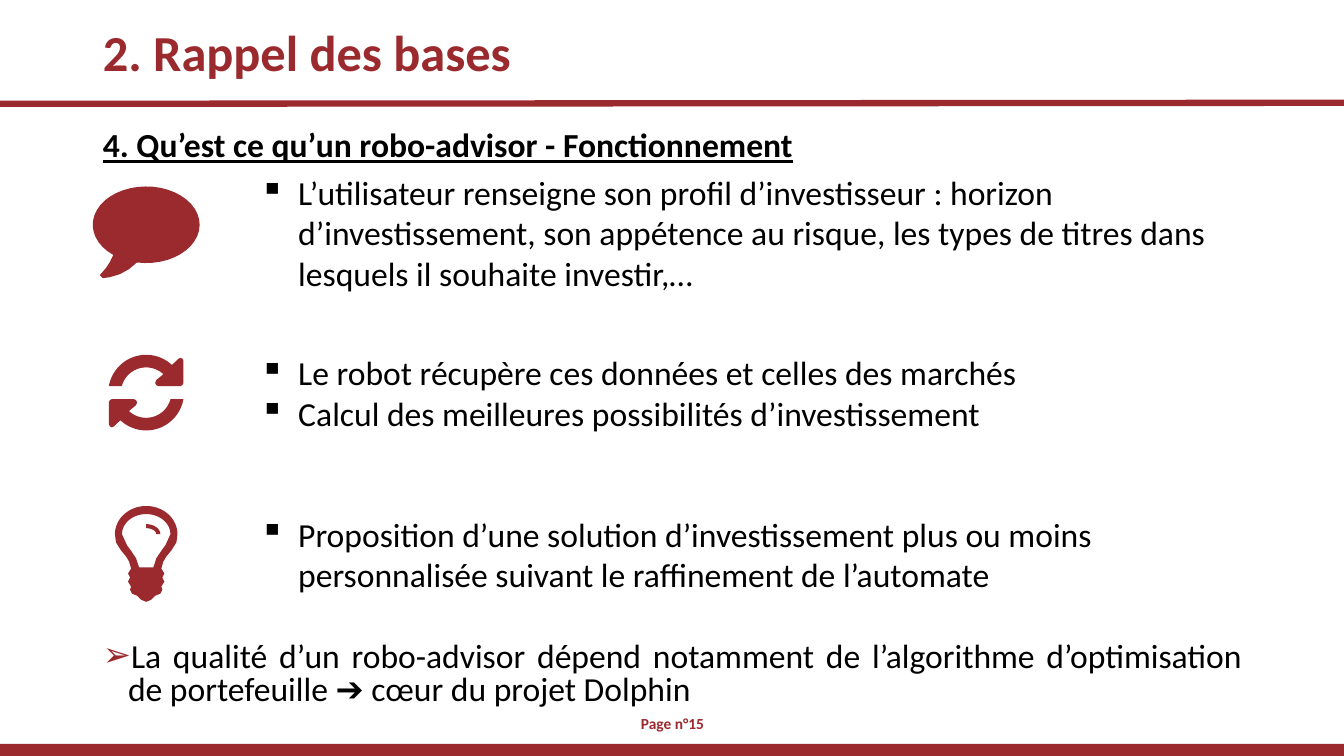
"""Build the slide on how a robo-advisor works."""
from dataclasses import dataclass
from math import cos, radians, sin

from lxml import etree
from pptx import Presentation
from pptx.dml.color import RGBColor
from pptx.enum.shapes import MSO_CONNECTOR, MSO_SHAPE
from pptx.enum.text import MSO_ANCHOR, MSO_AUTO_SIZE, PP_ALIGN
from pptx.oxml.ns import qn
from pptx.util import Inches, Pt

STRAIGHT = MSO_CONNECTOR.STRAIGHT
RECT = MSO_SHAPE.RECTANGLE
MIDDLE, TOP = MSO_ANCHOR.MIDDLE, MSO_ANCHOR.TOP
NO_FIT = MSO_AUTO_SIZE.NONE
LEFT, CENTER, JUSTIFY = PP_ALIGN.LEFT, PP_ALIGN.CENTER, PP_ALIGN.JUSTIFY


@dataclass(frozen=True)
class Theme:
    """Hold the colours, font and type sizes."""
    accent: str = "9B2A2E"
    text: str = "000000"
    font: str = "Calibri"
    title: int = 36
    body: int = 24
    page: int = 11


THEME = Theme()
ICON_X = 1.45
STEPS = [
    (1.65, 1.31, ["L’utilisateur renseigne son profil d’investisseur : horizon "
                  "d’investissement, son appétence au risque, les types de titres "
                  "dans lesquels il souhaite investir,…"]),
    (3.44, 0.91, ["Le robot récupère ces données et celles des marchés",
                  "Calcul des meilleures possibilités d’investissement"]),
    (5.04, 0.91, ["Proposition d’une solution d’investissement plus ou moins "
                  "personnalisée suivant le raffinement de l’automate"]),
]


def set_bullet(p, char, indent, color):
    """Give a paragraph a hanging bullet, or none when char is empty."""
    pPr = p._p.get_or_add_pPr()
    pPr.set("marL", str(Inches(indent)))
    pPr.set("indent", str(-Inches(indent)))
    if not char:
        etree.SubElement(pPr, qn("a:buNone"))
        return
    clr = etree.SubElement(pPr, qn("a:buClr"))
    etree.SubElement(clr, qn("a:srgbClr"), val=color)
    etree.SubElement(pPr, qn("a:buChar"), char=char)


def write(p, text, size=THEME.body, color=THEME.text, bold=False, underline=False,
          align=LEFT, spacing=1.0, before=0, bullet="", indent=0,
          bullet_color=THEME.text):
    """Write formatted text into a paragraph."""
    p.alignment, p.line_spacing, p.space_before = align, spacing, Pt(before)
    set_bullet(p, bullet, indent, bullet_color)
    r = p.add_run()
    r.text = text
    f = r.font
    f.name, f.size, f.bold, f.underline = THEME.font, Pt(size), bold, underline
    f.color.rgb = RGBColor.from_string(color)


def place(sp, x, y, w, h, anchor=MIDDLE):
    """Position a text shape and return its text frame."""
    sp.left, sp.top, sp.width, sp.height = map(Inches, (x, y, w, h))
    tf = sp.text_frame
    tf.word_wrap, tf.auto_size, tf.vertical_anchor = True, NO_FIT, anchor
    return tf


def add_text_box(s, x, y, w, h):
    """Add a text box and return its text frame."""
    return place(s.shapes.add_textbox(0, 0, 0, 0), x, y, w, h)


def paint(sp):
    """Fill a shape with the accent colour, without line or shadow."""
    sp.shadow.inherit = False
    sp.fill.solid()
    sp.fill.fore_color.rgb = RGBColor.from_string(THEME.accent)
    sp.line.fill.background()


def add_frame(s):
    """Add the title rule and the bottom band."""
    band = s.shapes.add_shape(RECT, 0, Inches(7.38), Inches(13.33), Inches(0.12))
    paint(band)
    rule = s.shapes.add_connector(STRAIGHT, 0, Inches(1.03), Inches(13.33), Inches(1.02))
    rule.line.color.rgb = RGBColor.from_string(THEME.accent)
    rule.line.width = Pt(4.5)
    etree.SubElement(rule._element.spPr, qn("a:effectLst"))


def arc(cy, rx, ry, start, end, steps=40):
    """List the points of an elliptical arc centred on the icon axis."""
    angles = [radians(start + (end - start) * i / steps) for i in range(steps + 1)]
    return [(ICON_X + rx * cos(a), cy + ry * sin(a)) for a in angles]


def mirror(half):
    """Close a right half with its reflection in the icon axis."""
    return half + [(2 * ICON_X - x, y) for x, y in reversed(half)]


def add_icon(s, *contours):
    """Add one filled outline made of closed contours."""
    emu = [[(Inches(x), Inches(y)) for x, y in points] for points in contours]
    fb = s.shapes.build_freeform(*emu[0][0], scale=1.0)
    for i, points in enumerate(emu):
        if i:
            fb.move_to(*points[0])
        fb.add_line_segments(points[1:], close=True)
    paint(fb.convert_to_shape())


def add_speech(s):
    """Add the speech bubble."""
    tail = [(1.28, 2.67), (1.19, 2.72), (1.09, 2.75), (1.02, 2.76), (0.99, 2.73),
            (1.05, 2.66), (1.09, 2.6)]
    add_icon(s, arc(2.23, 0.53, 0.38, 128, 460) + tail)


def add_cycle(s):
    """Add the two turning arrows."""
    cy = 3.895
    head = [(1.77, 3.56), (1.79, 3.55), (1.81, 3.56), (1.82, 3.58), (1.82, 3.8),
            (1.81, 3.82), (1.79, 3.83), (1.57, 3.83), (1.55, 3.82), (1.54, 3.8),
            (1.55, 3.77)]
    upper = arc(cy, 0.375, 0.375, 190, 313) + head + arc(cy, 0.25, 0.25, 313, 195)
    lower = [(2 * ICON_X - x, 2 * cy - y) for x, y in upper]
    add_icon(s, upper, lower)


def add_bulb(s):
    """Add the light bulb."""
    cy = 5.3
    base = [(1.75, 5.38), (1.7, 5.46), (1.65, 5.52), (1.62, 5.57), (1.6, 5.64),
            (1.63, 5.69), (1.61, 5.73), (1.63, 5.77), (1.6, 5.82), (1.61, 5.85),
            (1.59, 5.89), (1.54, 5.91), (1.5, 5.95), (1.45, 5.97)]
    neck = [(1.64, 5.41), (1.61, 5.45), (1.55, 5.54), (1.52, 5.63)]
    glint = arc(cy, 0.14, 0.1, -90, 0) + arc(cy, 0.1, 0.06, 0, -90)
    add_icon(s, mirror(arc(cy, 0.31, 0.28, -90, 0) + base),
             mirror(arc(cy, 0.24, 0.2, -90, 0) + neck), glint)


def add_step(s, y, h, lines):
    """Add the bulleted text of one step."""
    tf = add_text_box(s, 2.48, y, 9.8, h)
    for i, line in enumerate(lines):
        p = tf.add_paragraph() if i else tf.paragraphs[0]
        write(p, line, bullet="▪", indent=0.38)


def main():
    """Build and save the slide."""
    prs = Presentation()
    prs.slide_width, prs.slide_height = Inches(13.33), Inches(7.5)
    s = prs.slides.add_slide(prs.slide_layouts[1])
    add_frame(s)
    tf = place(s.shapes.title, 0.92, 0.21, 11.5, 0.68)
    write(tf.paragraphs[0], "2. Rappel des bases", size=THEME.title,
          color=THEME.accent, bold=True, spacing=0.9)
    tf = place(s.placeholders[1], 0.92, 1.26, 11.5, 6.24, anchor=TOP)
    write(tf.paragraphs[0], "4. Qu’est ce qu’un robo-advisor - Fonctionnement",
          bold=True, underline=True, align=JUSTIFY, spacing=0.8)
    write(tf.add_paragraph(),
          "La qualité d’un robo-advisor dépend notamment de l’algorithme "
          "d’optimisation de portefeuille ➔ cœur du projet Dolphin",
          align=JUSTIFY, spacing=0.8, before=342, bullet="➢", indent=0.25,
          bullet_color=THEME.accent)
    tf = add_text_box(s, 6.16, 6.98, 1.02, 0.4)
    write(tf.paragraphs[0], "Page n°15", size=THEME.page, color=THEME.accent,
          bold=True, align=CENTER)
    add_speech(s)
    add_cycle(s)
    add_bulb(s)
    for y, h, lines in STEPS:
        add_step(s, y, h, lines)
    prs.save("out.pptx")


if __name__ == "__main__":
    main()
